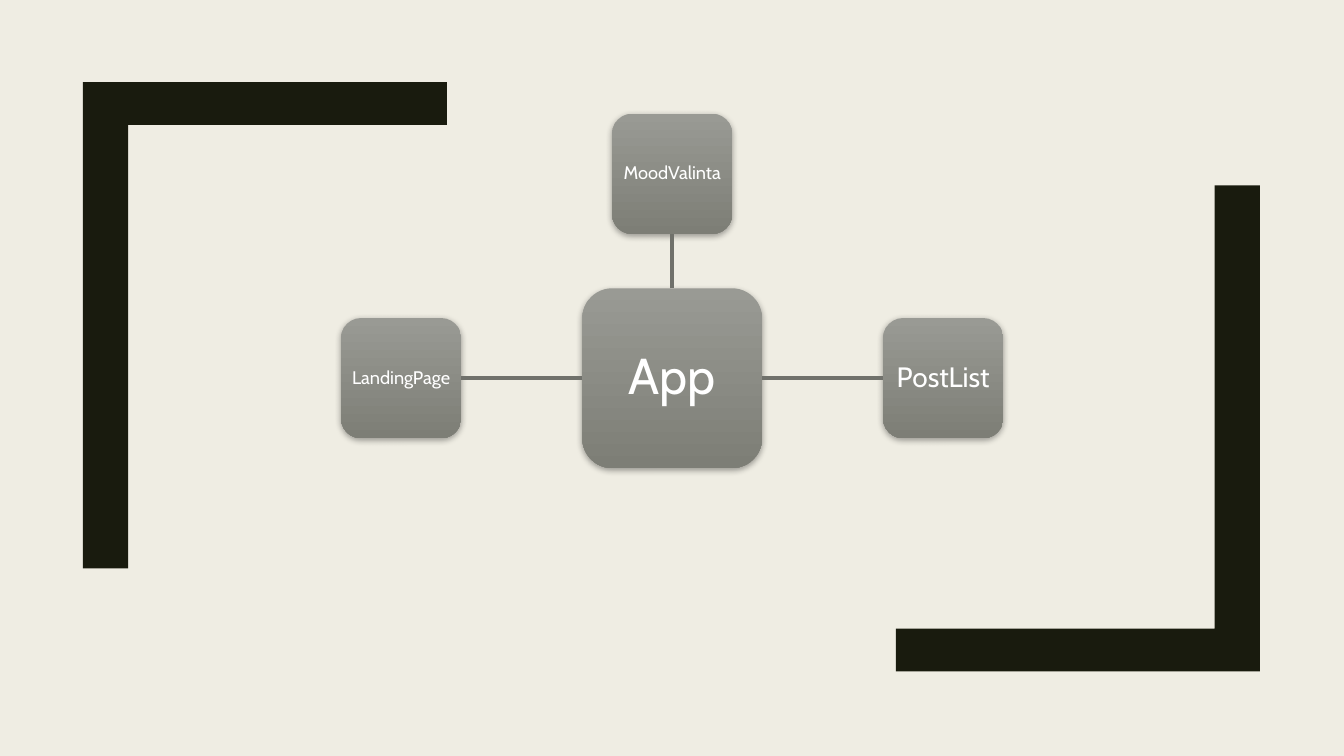
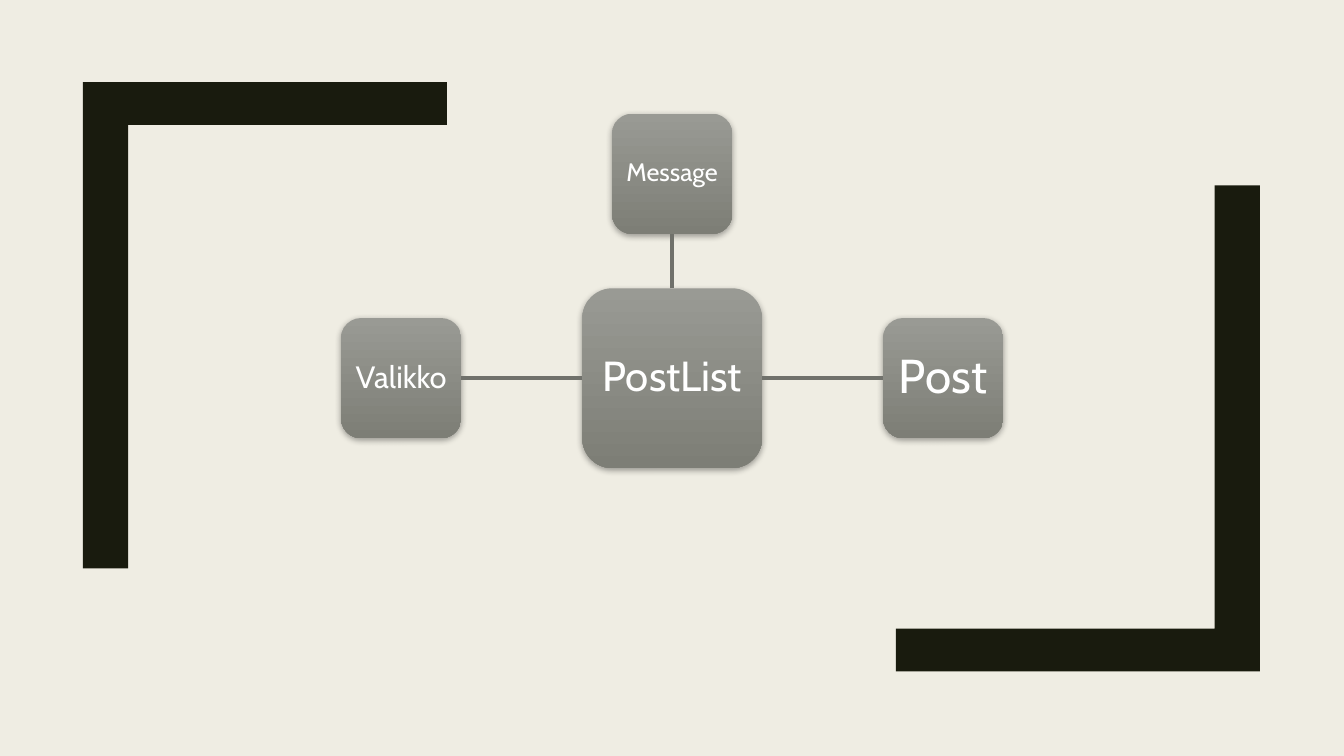
from lxml.etree import SubElement
from pptx import Presentation
from pptx.dml.color import RGBColor
from pptx.enum.shapes import MSO_CONNECTOR, MSO_SHAPE
from pptx.enum.text import MSO_ANCHOR, PP_ALIGN
from pptx.oxml.ns import qn
from pptx.util import Cm, Pt

MAPS = [
    {
        "hub": ("App", 36),
        "left": ("LandingPage", 13),
        "top": ("MoodValinta", 13),
        "right": ("PostList", 20),
    },
    {
        "hub": ("PostList", 30),
        "left": ("Valikko", 22),
        "top": ("Message", 18),
        "right": ("Post", 34),
    },
]

FONT = "Cabin"
PAPER, INK, WIRE, WHITE = "EFEDE3", "191B0E", "70716B", "FFFFFF"
SHADE = ("999A94", "7D7E76")

WIDE, HIGH = 33.87, 19.05
HUB, NODE = 4.53, 3.03
MID = (16.94, 9.53)
SIDES = {
    "left": (-6.83, 0, 1, 3),
    "top": (0, -5.15, 0, 2),
    "right": (6.83, 0, 3, 1),
}
CORNERS = [(31.75, 16.92, -1), (2.09, 2.07, 1)]
ANGLE = [(0, 0), (9.17, 0), (9.17, 1.08), (1.14, 1.08), (1.14, 12.25), (0, 12.25)]


def color(code):
    return RGBColor.from_string(code)


def paint(fill, code):
    fill.solid()
    fill.fore_color.rgb = color(code)


def bracket(slide, layout, x, y, sign):
    spots = [(Cm(x + sign * dx), Cm(y + sign * dy)) for dx, dy in ANGLE]
    pen = slide.shapes.build_freeform(*spots[0])
    pen.add_line_segments(spots[1:], close=True)
    shape = pen.convert_to_shape()
    shape.shadow.inherit = False
    paint(shape.fill, INK)
    shape.line.fill.background()
    layout.shapes.element.append(shape.element)


def shadow(shape):
    shape.shadow.inherit = False
    effects = shape.element.spPr.find(qn("a:effectLst"))
    outer = SubElement(effects, qn("a:outerShdw"), blurRad=str(Pt(4.5)),
                       dist=str(Pt(1.5)), dir="5400000", rotWithShape="0")
    tint = SubElement(outer, qn("a:srgbClr"), val="000000")
    SubElement(tint, qn("a:alpha"), val="35000")


def box(slide, x, y, size, text, points):
    shape = slide.shapes.add_shape(
        MSO_SHAPE.ROUNDED_RECTANGLE,
        Cm(x - size / 2), Cm(y - size / 2), Cm(size), Cm(size))
    shape.fill.gradient()
    shape.fill.gradient_angle = 270
    for stop, code in zip(shape.fill.gradient_stops, SHADE):
        stop.color.rgb = color(code)
    shape.line.fill.background()
    shadow(shape)
    frame = shape.text_frame
    frame.word_wrap = False
    frame.vertical_anchor = MSO_ANCHOR.MIDDLE
    frame.margin_left = frame.margin_right = Cm(0.1)
    frame.margin_top = frame.margin_bottom = Cm(0.1)
    para = frame.paragraphs[0]
    para.alignment = PP_ALIGN.CENTER
    para.line_spacing = 0.9
    run = para.add_run()
    run.text = text
    run.font.name = FONT
    run.font.size = Pt(points)
    run.font.color.rgb = color(WHITE)
    return shape


def link(slide, hub, node, start, end):
    line = slide.shapes.add_connector(MSO_CONNECTOR.STRAIGHT, 0, 0, 0, 0)
    line.begin_connect(hub, start)
    line.end_connect(node, end)
    line.line.color.rgb = color(WIRE)
    line.line.width = Pt(2.75)
    SubElement(line.element.spPr, qn("a:effectLst"))


def draw(slide, parts):
    hub = box(slide, *MID, HUB, *parts["hub"])
    for side, (dx, dy, start, end) in SIDES.items():
        node = box(slide, MID[0] + dx, MID[1] + dy, NODE, *parts[side])
        link(slide, hub, node, start, end)


def main():
    deck = Presentation()
    deck.slide_width, deck.slide_height = Cm(WIDE), Cm(HIGH)
    paint(deck.slide_master.background.fill, PAPER)
    blank = deck.slide_layouts[6]
    slides = [deck.slides.add_slide(blank) for _ in MAPS]
    for corner in CORNERS:
        bracket(slides[0], blank, *corner)
    for slide, parts in zip(slides, MAPS):
        draw(slide, parts)
    deck.save("out.pptx")


if __name__ == "__main__":
    main()
